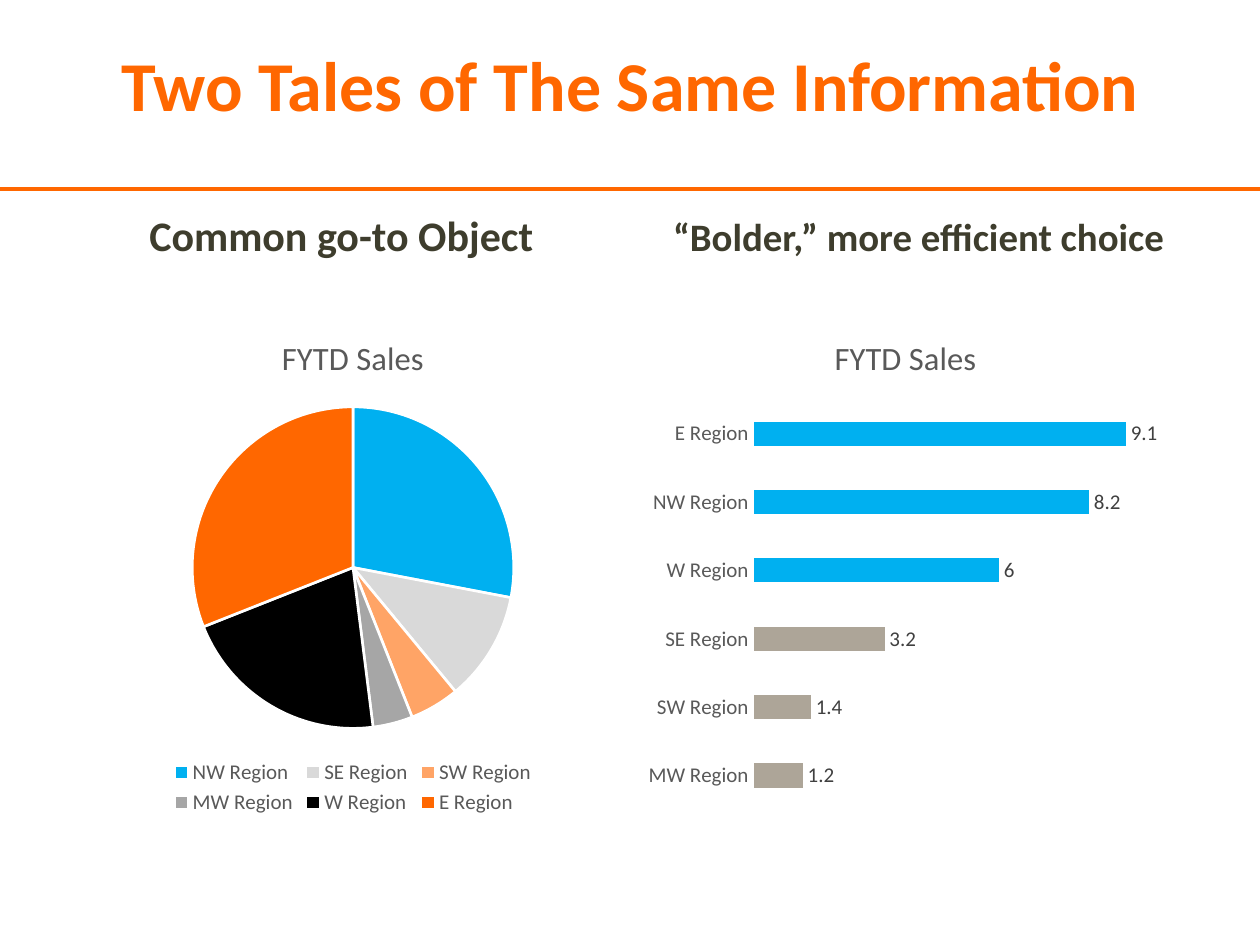
from lxml import etree
from pptx import Presentation
from pptx.chart.data import CategoryChartData
from pptx.dml.color import RGBColor
from pptx.enum.chart import XL_CHART_TYPE, XL_LABEL_POSITION, XL_LEGEND_POSITION, XL_TICK_MARK
from pptx.enum.shapes import MSO_CONNECTOR
from pptx.enum.text import MSO_ANCHOR, MSO_AUTO_SIZE, PP_ALIGN
from pptx.oxml.ns import qn
from pptx.util import Pt

PIE = XL_CHART_TYPE.PIE
BAR = XL_CHART_TYPE.BAR_CLUSTERED
OUTSIDE_END = XL_LABEL_POSITION.OUTSIDE_END
LEGEND_BOTTOM = XL_LEGEND_POSITION.BOTTOM
NO_TICK = XL_TICK_MARK.NONE
STRAIGHT = MSO_CONNECTOR.STRAIGHT
MIDDLE = MSO_ANCHOR.MIDDLE
BOTTOM = MSO_ANCHOR.BOTTOM
NO_FIT = MSO_AUTO_SIZE.NONE
CENTER = PP_ALIGN.CENTER

COMPARISON_LAYOUT = 3 + 1
FONT = "Calibri"
COLORS = {
    "orange": "FF6700",
    "light_orange": "FFA466",
    "blue": "00B0F0",
    "silver": "D9D9D9",
    "gray": "A6A6A6",
    "taupe": "ADA598",
    "black": "000000",
    "white": "FFFFFF",
    "heading": "3E3D2D",
    "label": "595959",
    "value": "404040",
}
PIE_SALES = [
    ("NW Region", 28, "blue"),
    ("SE Region", 11, "silver"),
    ("SW Region", 5, "light_orange"),
    ("MW Region", 4, "gray"),
    ("W Region", 21, "black"),
    ("E Region", 31, "orange"),
]
BAR_SALES = [
    ("MW Region", 1.2, "taupe"),
    ("SW Region", 1.4, "taupe"),
    ("SE Region", 3.2, "taupe"),
    ("W Region", 6, "blue"),
    ("NW Region", 8.2, "blue"),
    ("E Region", 9.1, "blue"),
]


def color(name):
    return RGBColor.from_string(COLORS[name])


def style_font(font, size, color_name, bold=False):
    font.name = FONT
    font.size = Pt(size)
    font.bold = bold
    font.color.rgb = color(color_name)


def fill_placeholder(box, text, place, size, color_name, anchor):
    box.left, box.top, box.width, box.height = map(Pt, place)
    frame = box.text_frame
    frame.text = text
    frame.word_wrap = True
    frame.auto_size = NO_FIT
    frame.vertical_anchor = anchor
    para = frame.paragraphs[0]
    para.alignment = CENTER
    para.line_spacing = 0.9
    para.space_before = Pt(0)
    style_font(para.font, size, color_name, bold=True)


def add_sales_chart(page, kind, sales, place):
    data = CategoryChartData()
    data.categories = [region for region, _, _ in sales]
    data.add_series("FYTD Sales", [amount for _, amount, _ in sales])
    chart = page.shapes.add_chart(kind, *map(Pt, place), data).chart
    style_font(chart.font, 10, "black")
    chart.has_title = True
    chart.chart_title.include_in_layout = False
    chart.chart_title.text_frame.text = "FYTD Sales"
    style_font(chart.chart_title.text_frame.paragraphs[0].font, 18.6, "label")
    chart.has_legend = False
    points = chart.plots[0].series[0].points
    for index, (_, _, color_name) in enumerate(sales):
        fill = points[index].format.fill
        fill.solid()
        fill.fore_color.rgb = color(color_name)
    return chart


def add_pie(page, place):
    chart = add_sales_chart(page, PIE, PIE_SALES, place)
    chart.has_legend = True
    chart.legend.position = LEGEND_BOTTOM
    chart.legend.include_in_layout = False
    style_font(chart.legend.font, 12, "label")
    points = chart.plots[0].series[0].points
    for index in range(len(PIE_SALES)):
        border = points[index].format.line
        border.width = Pt(1.5)
        border.color.rgb = color("white")


def add_bars(page, place):
    chart = add_sales_chart(page, BAR, BAR_SALES, place)
    regions = chart.category_axis
    regions.major_tick_mark = NO_TICK
    regions.minor_tick_mark = NO_TICK
    regions.format.line.fill.background()
    style_font(regions.tick_labels.font, 12, "label")
    amounts = chart.value_axis
    amounts.visible = False
    amounts.has_major_gridlines = False
    amounts.minimum_scale = 0
    amounts.maximum_scale = 10
    plot = chart.plots[0]
    plot.gap_width = 182
    plot.vary_by_categories = False
    labels = plot.series[0].data_labels
    labels.show_value = True
    labels.position = OUTSIDE_END
    style_font(labels.font, 12, "value")


def add_rule(page, start, end, top):
    rule = page.shapes.add_connector(STRAIGHT, Pt(start), Pt(top), Pt(end), Pt(top))
    rule.line.width = Pt(2.75)
    rule.line.color.rgb = color("orange")
    etree.SubElement(rule._element.spPr, qn("a:effectLst"))


def main():
    deck = Presentation()
    deck.slide_width, deck.slide_height = Pt(720), Pt(540)
    page = deck.slides.add_slide(deck.slide_layouts[COMPARISON_LAYOUT])
    title, left_heading, left_body, right_heading, right_body = list(page.placeholders)[:5]
    for empty in (left_body, right_body):
        empty.element.getparent().remove(empty.element)

    fill_placeholder(title, "Two Tales of The Same Information",
                     (36, 6, 648, 90), 40, "orange", MIDDLE)
    fill_placeholder(left_heading, "Common go-to Object",
                     (36, 102, 318, 50.4), 24, "heading", BOTTOM)
    fill_placeholder(right_heading, "“Bolder,” more efficient choice",
                     (366, 102, 318, 50.4), 22.2, "heading", BOTTOM)
    add_pie(page, (49.5, 178.5, 304.5, 290))
    add_bars(page, (364.5, 178.5, 306, 290))
    add_rule(page, 720, 0, 108)
    deck.save("out.pptx")


if __name__ == "__main__":
    main()
